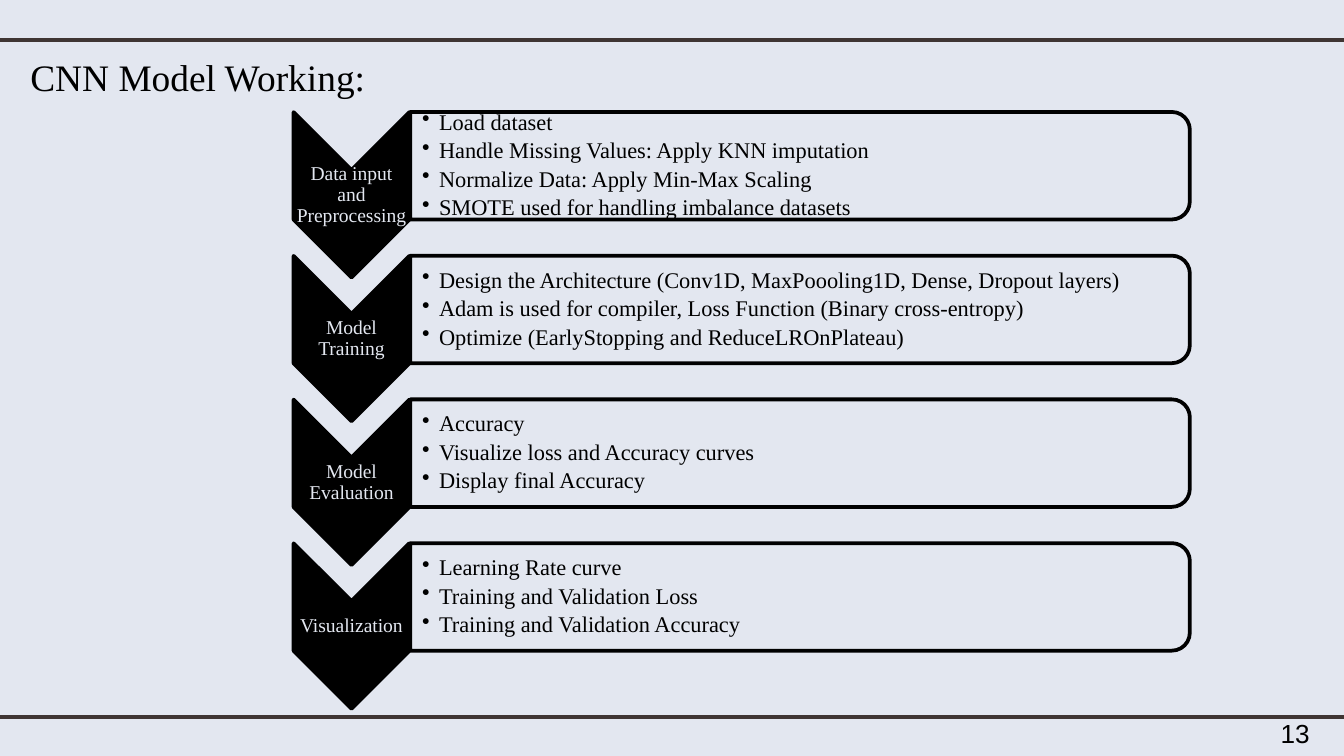
"""Build the CNN model working slide: four stages, each with a list of steps."""
from lxml import etree
from pptx import Presentation
from pptx.dml.color import RGBColor
from pptx.enum import shapes, text
from pptx.oxml import ns
from pptx.util import Pt

TITLE = "CNN Model Working:"
PAGE = "13"
STAGES = [
    ("Data input and Preprocessing", [
        "Load dataset",
        "Handle Missing Values: Apply KNN imputation",
        "Normalize Data: Apply Min-Max Scaling",
        "SMOTE used for handling imbalance datasets",
    ]),
    ("Model Training", [
        "Design the Architecture (Conv1D, MaxPoooling1D, Dense, Dropout layers)",
        "Adam is used for compiler, Loss Function (Binary cross-entropy)",
        "Optimize (EarlyStopping and ReduceLROnPlateau)",
    ]),
    ("Model Evaluation", [
        "Accuracy",
        "Visualize loss and Accuracy curves",
        "Display final Accuracy",
    ]),
    ("Visualization", [
        "Learning Rate curve",
        "Training and Validation Loss",
        "Training and Validation Accuracy",
    ]),
]

PALE = RGBColor(0xE3, 0xE7, 0xF0)
BLACK = RGBColor(0, 0, 0)
BROWN = RGBColor(0x3F, 0x35, 0x33)
SERIF = "Times New Roman"

WIDTH, HEIGHT = 720, 405
RULES = (21.4, 384)
PITCH = 77
CHEVRON_X, CHEVRON_Y, CHEVRON_W, CHEVRON_H = 188.3, 104.4, 62, 88.6
PANEL_X, PANEL_Y, PANEL_W, PANEL_H = 428.6, 88.8, 417.6, 57.6
LABEL_H, STEPS_W, STEPS_H = 26.6, 415.4, 52


def write(holder, lines, size=12, font=SERIF, color=BLACK, align=text.PP_ALIGN.LEFT,
          anchor=text.MSO_ANCHOR.MIDDLE, insets=(7.2, 3.6, 7.2, 3.6), wrap=True,
          spacing=1.0, after=0, bullet=None):
    """Fill a text holder with one paragraph per line."""
    frame = holder.text_frame
    frame.auto_size = text.MSO_AUTO_SIZE.NONE
    frame.word_wrap = wrap
    frame.vertical_anchor = anchor
    (frame.margin_left, frame.margin_top,
     frame.margin_right, frame.margin_bottom) = map(Pt, insets)
    for index, line in enumerate(lines):
        paragraph = frame.paragraphs[0] if index == 0 else frame.add_paragraph()
        paragraph.alignment = align
        paragraph.line_spacing = spacing
        paragraph.space_before = Pt(0)
        paragraph.space_after = Pt(after)
        run = paragraph.add_run()
        run.text = line
        run.font.size, run.font.name = Pt(size), font
        run.font.color.rgb = color
        if bullet:
            props = paragraph._p.get_or_add_pPr()
            props.set("marL", str(Pt(9)))
            props.set("indent", str(Pt(-9)))
            etree.SubElement(props, ns.qn("a:buChar")).set("char", bullet)


def text_box(slide, left, top, width, height, lines, **look):
    box = slide.shapes.add_textbox(Pt(left), Pt(top), Pt(width), Pt(height))
    write(box, lines, **look)


def turned_shape(slide, kind, center_x, center_y, width, height, fill):
    """Add a shape turned by 90 degrees that shows as width by height."""
    shape = slide.shapes.add_shape(kind, Pt(center_x - height / 2), Pt(center_y - width / 2),
                                   Pt(height), Pt(width))
    shape.rotation = 90
    shape.shadow.inherit = False
    shape.fill.solid()
    shape.fill.fore_color.rgb = fill
    shape.line.color.rgb = BLACK
    shape.line.width = Pt(2)
    return shape


def add_rule(slide, y):
    rule = slide.shapes.add_connector(shapes.MSO_CONNECTOR.STRAIGHT,
                                      Pt(-6), Pt(y), Pt(WIDTH + 6), Pt(y))
    rule.line.color.rgb = BROWN
    rule.line.width = Pt(2.25)
    etree.SubElement(rule._element.spPr, ns.qn("a:effectLst"))


def add_stage(slide, offset, label, steps):
    chevron_y, panel_y = CHEVRON_Y + offset, PANEL_Y + offset
    turned_shape(slide, shapes.MSO_SHAPE.CHEVRON, CHEVRON_X, chevron_y,
                 CHEVRON_W, CHEVRON_H, BLACK)
    text_box(slide, CHEVRON_X - CHEVRON_W / 2, chevron_y - LABEL_H / 2, CHEVRON_W, LABEL_H,
             [label], size=10.5, color=PALE, align=text.PP_ALIGN.CENTER,
             insets=(0.5,) * 4, spacing=0.9)
    panel = turned_shape(slide, shapes.MSO_SHAPE.ROUND_2_SAME_RECTANGLE, PANEL_X, panel_y,
                         PANEL_W, PANEL_H, PALE)
    tint = panel._element.spPr.find(ns.qn("a:solidFill"))[0]
    etree.SubElement(tint, ns.qn("a:alpha")).set("val", "90000")
    text_box(slide, PANEL_X - PANEL_W / 2, panel_y - STEPS_H / 2, STEPS_W, STEPS_H, steps,
             insets=(6.4, 0.6, 0.6, 0.6), spacing=0.9, after=2.3, bullet="•")


def main():
    deck = Presentation()
    deck.slide_width, deck.slide_height = Pt(WIDTH), Pt(HEIGHT)
    slide = deck.slides.add_slide(deck.slide_layouts[5])
    slide.background.fill.solid()
    slide.background.fill.fore_color.rgb = PALE

    for y in RULES:
        add_rule(slide, y)
    for index, (label, steps) in enumerate(STAGES):
        add_stage(slide, index * PITCH, label, steps)

    heading = slide.shapes.title
    heading.left, heading.top, heading.width, heading.height = map(Pt, (9, 25.4, 224.6, 31.5))
    write(heading, [TITLE], size=20, anchor=text.MSO_ANCHOR.TOP)
    text_box(slide, 679, 381, 72, 24.2, [PAGE], size=14, font="Arial",
             anchor=text.MSO_ANCHOR.TOP)
    deck.save("out.pptx")


if __name__ == "__main__":
    main()
